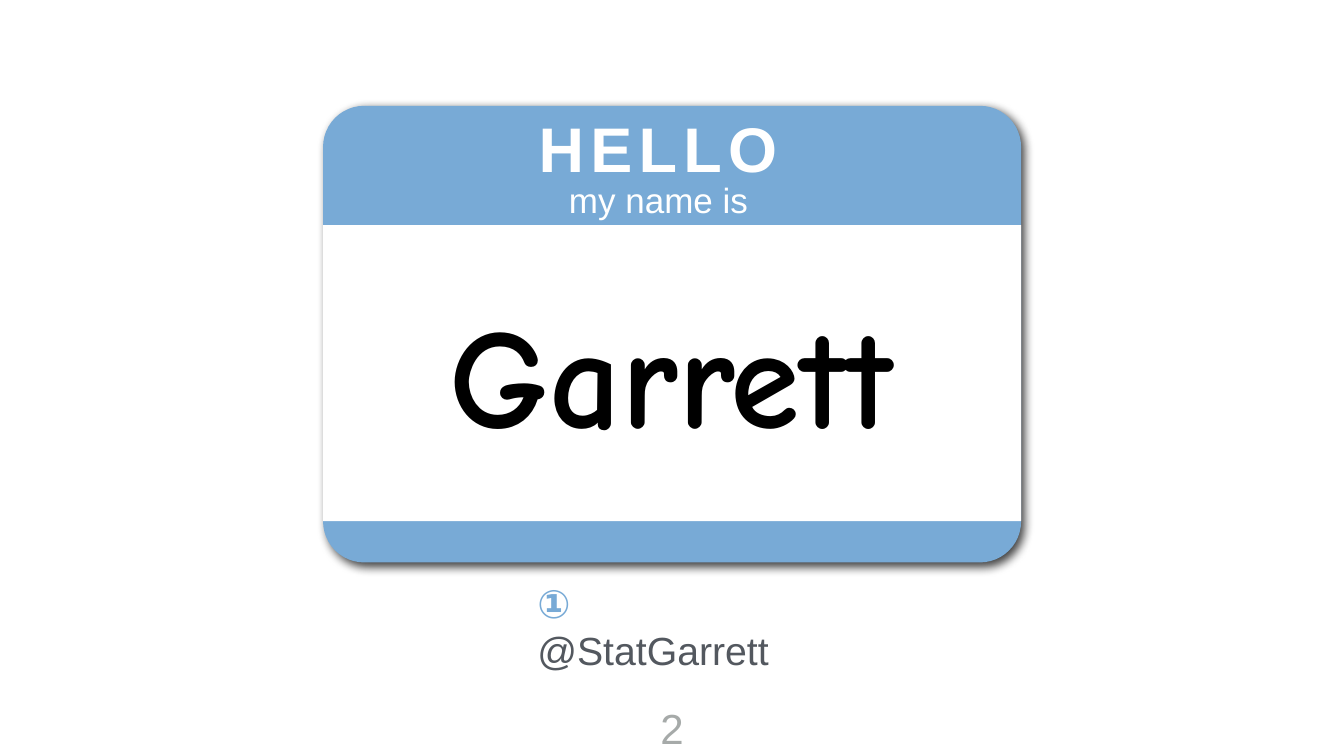
from lxml import etree
from pptx import Presentation
from pptx.dml.color import RGBColor
from pptx.enum.shapes import MSO_SHAPE
from pptx.enum.text import MSO_ANCHOR, MSO_AUTO_SIZE, PP_ALIGN
from pptx.oxml import parse_xml
from pptx.util import Pt

ROUNDED, RECTANGLE = MSO_SHAPE.ROUNDED_RECTANGLE, MSO_SHAPE.RECTANGLE
LEFT, CENTER = PP_ALIGN.LEFT, PP_ALIGN.CENTER
TOP, MIDDLE = MSO_ANCHOR.TOP, MSO_ANCHOR.MIDDLE
FIT_SHAPE, FIT_NONE = MSO_AUTO_SIZE.SHAPE_TO_FIT_TEXT, MSO_AUTO_SIZE.NONE

BLUE, WHITE, BLACK, GRAY, PALE = "78AAD6", "FFFFFF", "000000", "53585F", "A6AAA9"
INSET = 5.76
NAMESPACE = "http://schemas.openxmlformats.org/drawingml/2006/main"

BADGE = (461.5, 151.2, 997.2, 652.3)
BADGE_HEADER, BADGE_FOOTER = 170.6, 59.1

BADGE_TEXTS = [
    {"at": (578.9, 370, 760.3, 321.8), "align": CENTER,
     "spans": [("Garrett", {"size": 202, "name": "Comic Neue", "color": BLACK, "bold": True})]},
    {"at": (763.9, 144, 391, 131.8), "spacing": 9,
     "spans": [("HELLO", {"size": 90, "color": WHITE, "bold": True})]},
    {"at": (807.1, 245.5, 302.4, 78.5),
     "spans": [("my name is", {"size": 50, "color": WHITE})]},
]
PAGE_TEXTS = [
    {"at": (761.8, 852.5, 396.7, 83.5),
     "spans": [("① ", {"size": 56, "color": BLUE, "bold": True}),
               ("@StatGarrett", {"size": 56, "color": GRAY})]},
    {"at": (937.4, 997.2, 45.4, 83.5), "align": CENTER, "anchor": TOP,
     "wrap": False, "fit": FIT_SHAPE,
     "spans": [("2", {"size": 60, "color": PALE})]},
]


def color(value):
    return RGBColor.from_string(value)


def points(values):
    return [Pt(value) for value in values]


def add_panel(shapes, kind, at, fill):
    panel = shapes.add_shape(kind, *points(at))
    panel.shadow.inherit = False
    panel.fill.solid()
    panel.fill.fore_color.rgb = color(fill)
    panel.line.fill.background()
    return panel


def add_shadow(shape, blur, distance, degrees, opacity):
    effects = shape.element.spPr.find(f"{{{NAMESPACE}}}effectLst")
    effects.append(parse_xml(
        f'<a:outerShdw xmlns:a="{NAMESPACE}" blurRad="{Pt(blur)}" dist="{Pt(distance)}" '
        f'dir="{degrees * 60000}" algn="tl" rotWithShape="0"><a:srgbClr val="{BLACK}">'
        f'<a:alpha val="{opacity * 1000}"/></a:srgbClr></a:outerShdw>'))


def add_text(shapes, item):
    box = shapes.add_textbox(*points(item["at"]))
    frame = box.text_frame
    settings = {"word_wrap": item.get("wrap", True),
                "auto_size": item.get("fit", FIT_NONE),
                "vertical_anchor": item.get("anchor", MIDDLE)}
    settings.update({f"margin_{side}": Pt(INSET) for side in ("left", "top", "right", "bottom")})
    for key, value in settings.items():
        setattr(frame, key, value)
    para = frame.paragraphs[0]
    para.alignment = item.get("align", LEFT)
    for words, look in item["spans"]:
        span = para.add_run()
        span.text = words
        span.font.color.rgb = color(look["color"])
        font = {"size": Pt(look["size"]), "name": look.get("name", "Arial"),
                "bold": look.get("bold", False)}
        for key, value in font.items():
            setattr(span.font, key, value)
        if "spacing" in item:
            span.font._element.set("spc", str(item["spacing"] * 100))


def add_badge(page):
    shapes = page.shapes.add_group_shape().shapes
    left, top, width, height = BADGE
    card = add_panel(shapes, ROUNDED, BADGE, BLUE)
    card.adjustments[0] = 0.09
    add_shadow(card, blur=14, distance=8, degrees=45, opacity=75)
    middle = height - BADGE_HEADER - BADGE_FOOTER
    add_panel(shapes, RECTANGLE, (left, top + BADGE_HEADER, width, middle), WHITE)
    for item in BADGE_TEXTS:
        add_text(shapes, item)


def main():
    deck = Presentation()
    deck.slide_width, deck.slide_height = points((1920, 1080))
    page = deck.slides.add_slide(deck.slide_layouts[6])
    page.background.fill.solid()
    page.background.fill.fore_color.rgb = color(WHITE)
    add_badge(page)
    for item in PAGE_TEXTS:
        add_text(page.shapes, item)
    deck.save("out.pptx")


if __name__ == "__main__":
    main()
